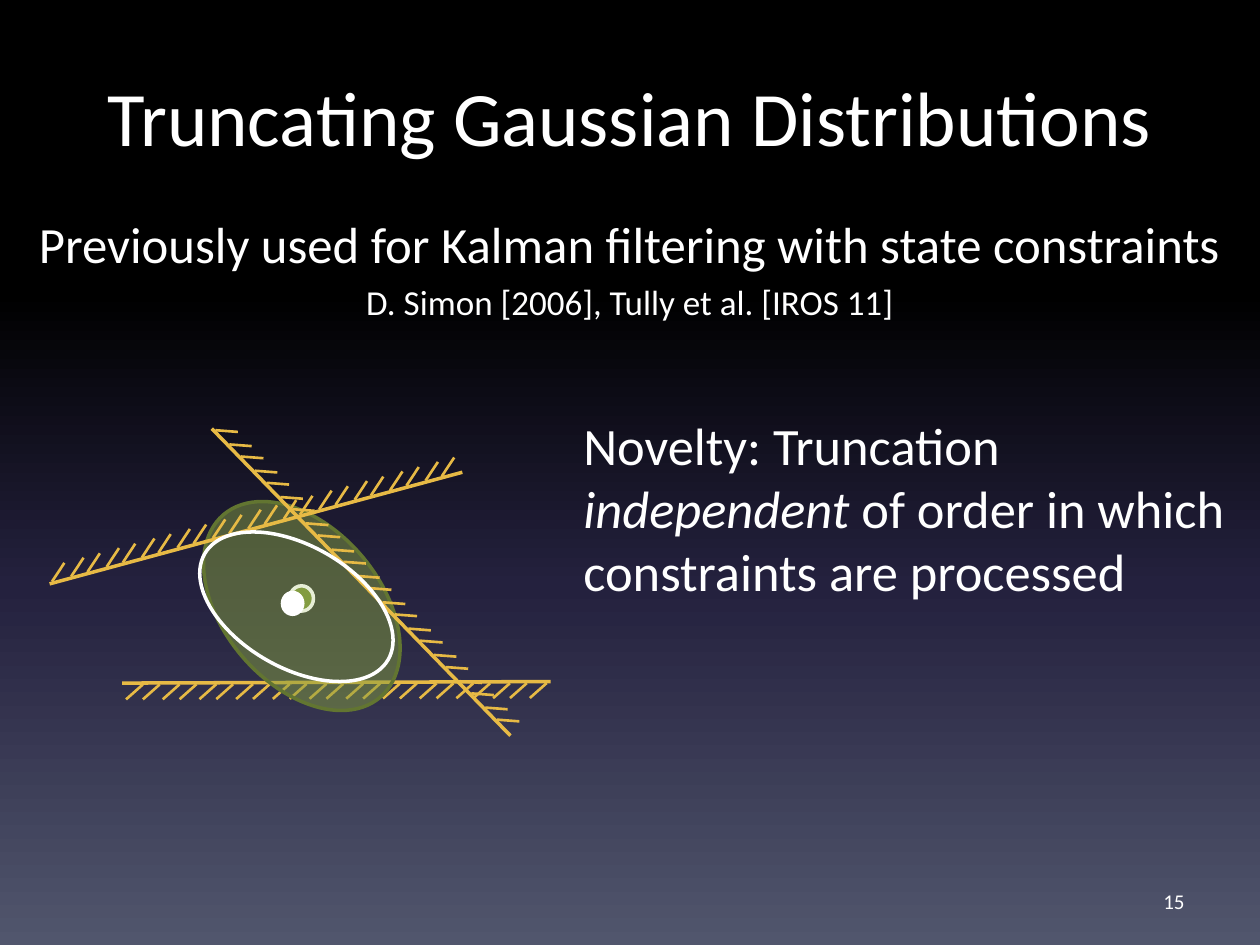
from copy import deepcopy
from math import hypot

from lxml import etree
from pptx import Presentation
from pptx.dml.color import RGBColor
from pptx.enum import shapes, text
from pptx.oxml.ns import qn
from pptx.util import Cm, Pt


def rgb(code):
    return RGBColor.from_string(code)


def style(frame, size, align):
    """Format every paragraph and run of a text frame."""
    frame.word_wrap = True
    for para in frame.paragraphs:
        para.alignment = align
        for run in para.runs:
            run.font.name = "Calibri"
            run.font.size = Pt(size)
            run.font.color.rgb = rgb("FFFFFF")


deck = Presentation()
deck.slide_width, deck.slide_height = Cm(25.4), Cm(19.05)
slide = deck.slides.add_slide(deck.slide_layouts[5])
align = text.PP_ALIGN

# Background gradient
back = slide.background.fill
back.gradient()
back.gradient_angle = 270
stops = slide.element.find(".//" + qn("a:gsLst"))
for _ in range(2):
    stops.append(deepcopy(stops[0]))
shades = [(0, "000000"), (0.31, "000000"), (0.62, "24213E"), (1, "51566D")]
for stop, (place, code) in zip(back.gradient_stops, shades):
    stop.position = place
    stop.color.rgb = rgb(code)

# Title and texts
title = slide.shapes.title
title.left, title.top, title.width, title.height = Cm(1.27), Cm(1.27), Cm(22.86), Cm(3.18)
title.text_frame.text = "Truncating Gaussian Distributions"
title.text_frame.vertical_anchor = text.MSO_ANCHOR.TOP
style(title.text_frame, 44, align.CENTER)

prior = slide.shapes.add_textbox(Cm(0), Cm(4.17), Cm(25.4), Cm(2.74)).text_frame
prior.text = ("Previously used for Kalman filtering with state constraints\n"
              "D. Simon [2006], Tully et al. [IROS 11]")
style(prior, 29, align.CENTER)
cite = prior.paragraphs[1]
cite.space_before = Pt(4)
cite.runs[0].font.size = Pt(20)

claim = slide.shapes.add_textbox(Cm(11.51), Cm(8.2), Cm(13.46), Cm(4.88)).text_frame
for part in ("Novelty: Truncation ", "independent",
             " of order in which constraints are processed"):
    run = claim.paragraphs[0].add_run()
    run.text = part
    run.font.italic = part == "independent"
style(claim, 30, align.LEFT)

page = slide.shapes.add_textbox(Cm(18.21), Cm(17.65), Cm(5.92), Cm(1.02)).text_frame
page.text = "15"
page.vertical_anchor = text.MSO_ANCHOR.MIDDLE
style(page, 12, align.RIGHT)

# Hatched walls: each hatch mark is placed along and across its wall
walls = [(2.46, 13.77, 11.1, 13.74), (9.32, 9.52, 1.0, 11.77), (10.29, 14.83, 4.27, 8.64)]
groups = []
for x1, y1, x2, y2 in walls:
    size = hypot(x2 - x1, y2 - y1)
    ux, uy = (x2 - x1) / size, (y2 - y1) / size
    marks = [(0, 0, size, 0, 2)]
    for i in range(23):
        start = 0.08 + 0.74 * (i // 2) + 0.34 * (i % 2)
        marks.append((start, 0.33, start + 0.34, 0.03, 1.5))
    group = slide.shapes.add_group_shape()
    groups.append(group)
    for a1, b1, a2, b2, width in marks:
        ends = [Cm(v) for a, b in ((a1, b1), (a2, b2))
                for v in (x1 + a * ux - b * uy, y1 + a * uy + b * ux)]
        line = group.shapes.add_connector(shapes.MSO_CONNECTOR.STRAIGHT, *ends)
        line.line.color.rgb = rgb("E7BA45")
        line.line.width = Pt(width)
        etree.SubElement(line.element.spPr, qn("a:effectLst"))

# Distributions and their means: box, turn, fill, opacity, outline
ovals = [
    ((3.66, 10.64, 4.85, 3.15), 229.3, "839C41", 51, "627531"),
    ((5.84, 11.81, 0.48, 0.51), 0, "839C41", 100, "E7EED6"),
    ((3.84, 11, 4.27, 2.46), 210, None, 100, "FFFFFF"),
    ((5.66, 11.91, 0.48, 0.51), 0, "FFFFFF", 100, None),
]
drawn = []
for box, turn, fill, solid, edge in ovals:
    oval = slide.shapes.add_shape(shapes.MSO_SHAPE.OVAL, *map(Cm, box))
    drawn.append(oval)
    oval.rotation = turn
    oval.shadow.inherit = False
    if fill:
        oval.fill.solid()
        oval.fill.fore_color.rgb = rgb(fill)
        if solid < 100:
            tint = oval.element.spPr.find(qn("a:solidFill"))[0]
            etree.SubElement(tint, qn("a:alpha"), val=str(solid * 1000))
    else:
        oval.fill.background()
    if edge:
        oval.line.color.rgb = rgb(edge)
        oval.line.width = Pt(2)
    else:
        oval.line.fill.background()

# The two upper walls lie over the first distribution and its mean
for group in groups[1:]:
    drawn[2].element.addprevious(group.element)

deck.save("out.pptx")
